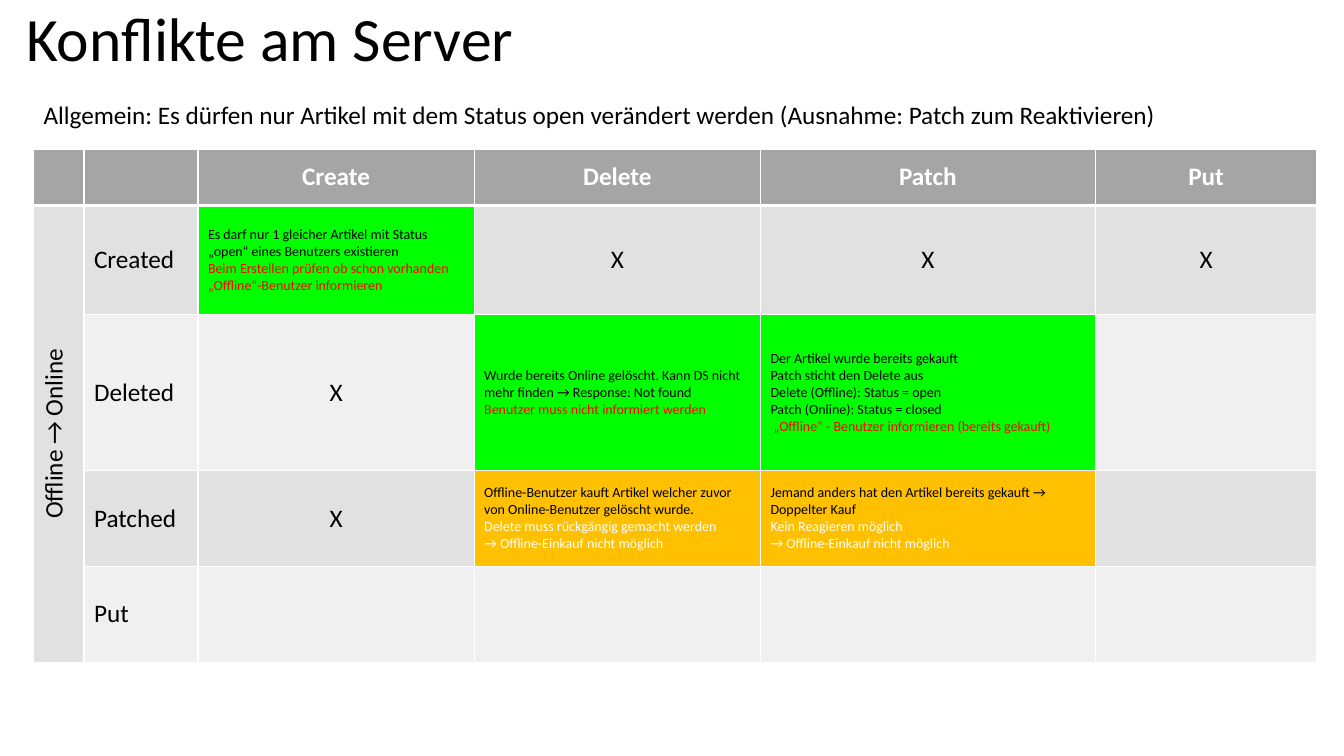
from dataclasses import dataclass

from lxml import etree
from pptx import Presentation, util as u
from pptx.dml.color import RGBColor
from pptx.enum import text
from pptx.oxml import ns


@dataclass(frozen=True)
class Theme:
    font: str = "Calibri"
    title: int = 44
    body: int = 18
    note: int = 10
    ink: str = "000000"
    paper: str = "FFFFFF"
    alert: str = "FF0000"
    header: str = "A5A5A5"
    bands: tuple = ("E1E1E1", "F0F0F0")
    solved: str = "00FF00"
    unsolved: str = "FFC000"
    rule: int = 1
    header_rule: int = 3


THEME = Theme()
WIDTH, HEIGHT = u.Inches(13.33), u.Inches(7.5)
LEFT, CENTER = text.PP_ALIGN.LEFT, text.PP_ALIGN.CENTER
COLUMNS = (0.5, 1.13, 2.74, 2.84, 3.32, 2.2)
ROWS = (0.56, 1.08, 1.55, 0.95, 0.95)
HEADINGS = ("", "", "Create", "Delete", "Patch", "Put")
STATES = (
    ("Created", "", "X", "X", "X"),
    ("Deleted", "X", "", "", ""),
    ("Patched", "X", "", "", ""),
    ("Put", "", "", "", ""),
)
CONFLICTS = {
    (1, 2): (THEME.solved, THEME.alert,
             ["Es darf nur 1 gleicher Artikel mit Status „open“ eines Benutzers existieren"],
             ["Beim Erstellen prüfen ob schon vorhanden", "„Offline“-Benutzer informieren"]),
    (2, 3): (THEME.solved, THEME.alert,
             ["Wurde bereits Online gelöscht. Kann DS nicht mehr finden → Response: Not found"],
             ["Benutzer muss nicht informiert werden"]),
    (2, 4): (THEME.solved, THEME.alert,
             ["Der Artikel wurde bereits gekauft", "Patch sticht den Delete aus",
              "Delete (Offline): Status = open", "Patch (Online): Status = closed"],
             [" „Offline“ - Benutzer informieren (bereits gekauft)"]),
    (3, 3): (THEME.unsolved, THEME.paper,
             ["Offline-Benutzer kauft Artikel welcher zuvor von Online-Benutzer gelöscht wurde."],
             ["Delete muss rückgängig gemacht werden", "→ Offline-Einkauf nicht möglich"]),
    (3, 4): (THEME.unsolved, THEME.paper,
             ["Jemand anders hat den Artikel bereits gekauft → Doppelter Kauf"],
             ["Kein Reagieren möglich", "→ Offline-Einkauf nicht möglich"]),
}


def share(left, top, width, height):
    return (u.Emu(int(WIDTH * left)), u.Emu(int(HEIGHT * top)),
            u.Emu(int(WIDTH * width)), u.Emu(int(HEIGHT * height)))


def write(frame, lines, size, align=LEFT, bold=False):
    for index, (words, color) in enumerate(lines):
        para = frame.paragraphs[0] if index == 0 else frame.add_paragraph()
        para.alignment = align
        para.font.size = u.Pt(size)
        if words:
            span = para.add_run()
            span.text = words
            span.font.name = THEME.font
            span.font.size = u.Pt(size)
            span.font.bold = bold
            span.font.color.rgb = RGBColor.from_string(color)


def add_line(page, box, words, size, anchor, spacing=None):
    frame = page.shapes.add_textbox(*box).text_frame
    frame.word_wrap = True
    frame.vertical_anchor = anchor
    write(frame, [(words, THEME.ink)], size)
    frame.paragraphs[0].line_spacing = spacing


def dress(cell, fill, top=THEME.rule, bottom=THEME.rule):
    properties = cell._tc.get_or_add_tcPr()
    for side, points in (("L", THEME.rule), ("R", THEME.rule), ("T", top), ("B", bottom)):
        edge = etree.SubElement(properties, ns.qn(f"a:ln{side}"), w=str(u.Pt(points)))
        solid = etree.SubElement(edge, ns.qn("a:solidFill"))
        etree.SubElement(solid, ns.qn("a:srgbClr"), val=THEME.paper)
    cell.fill.solid()
    cell.fill.fore_color.rgb = RGBColor.from_string(fill)
    cell.vertical_anchor = text.MSO_ANCHOR.MIDDLE


def add_header(table):
    for column, heading in enumerate(HEADINGS):
        cell = table.cell(0, column)
        dress(cell, THEME.header, bottom=THEME.header_rule)
        write(cell.text_frame, [(heading, THEME.paper)], THEME.body, CENTER, True)


def add_direction(table):
    for row in range(1, len(ROWS)):
        top = THEME.header_rule if row == 1 else THEME.rule
        dress(table.cell(row, 0), THEME.bands[0], top)
    cell = table.cell(1, 0)
    cell.merge(table.cell(len(ROWS) - 1, 0))
    cell._tc.get_or_add_tcPr().set("vert", "vert270")
    write(cell.text_frame, [("Offline → Online", THEME.ink)], THEME.body, CENTER)


def add_states(table):
    for row, entries in enumerate(STATES, 1):
        top = THEME.header_rule if row == 1 else THEME.rule
        for column, entry in enumerate(entries, 1):
            cell = table.cell(row, column)
            if (row, column) in CONFLICTS:
                fill, accent, causes, reactions = CONFLICTS[row, column]
                lines = [(words, THEME.ink) for words in causes]
                lines += [(words, accent) for words in reactions]
                dress(cell, fill, top)
                write(cell.text_frame, lines, THEME.note)
            else:
                dress(cell, THEME.bands[(row - 1) % 2], top)
                align = LEFT if column == 1 else CENTER
                write(cell.text_frame, [(entry, THEME.ink)], THEME.body, align)


def add_matrix(page, box):
    left, top, width, height = box
    table = page.shapes.add_table(len(ROWS), len(COLUMNS), left, top, width, height).table
    for column, part in zip(table.columns, COLUMNS):
        column.width = u.Emu(int(width * part / sum(COLUMNS)))
    for row, part in zip(table.rows, ROWS):
        row.height = u.Emu(int(height * part / sum(ROWS)))
    add_header(table)
    add_direction(table)
    add_states(table)


def add_conflict_page(deck):
    page = deck.slides.add_slide(deck.slide_layouts[6])
    add_line(page, share(0.012, 0, 0.863, 0.109), "Konflikte am Server",
             THEME.title, text.MSO_ANCHOR.MIDDLE, 0.9)
    add_line(page, share(0.025, 0.125, 0.95, 0.054),
             "Allgemein: Es dürfen nur Artikel mit dem Status open verändert werden "
             "(Ausnahme: Patch zum Reaktivieren)", THEME.body, text.MSO_ANCHOR.TOP)
    add_matrix(page, share(0.025, 0.197, 0.955, 0.679))


deck = Presentation()
deck.slide_width, deck.slide_height = WIDTH, HEIGHT
add_conflict_page(deck)
deck.save("out.pptx")
